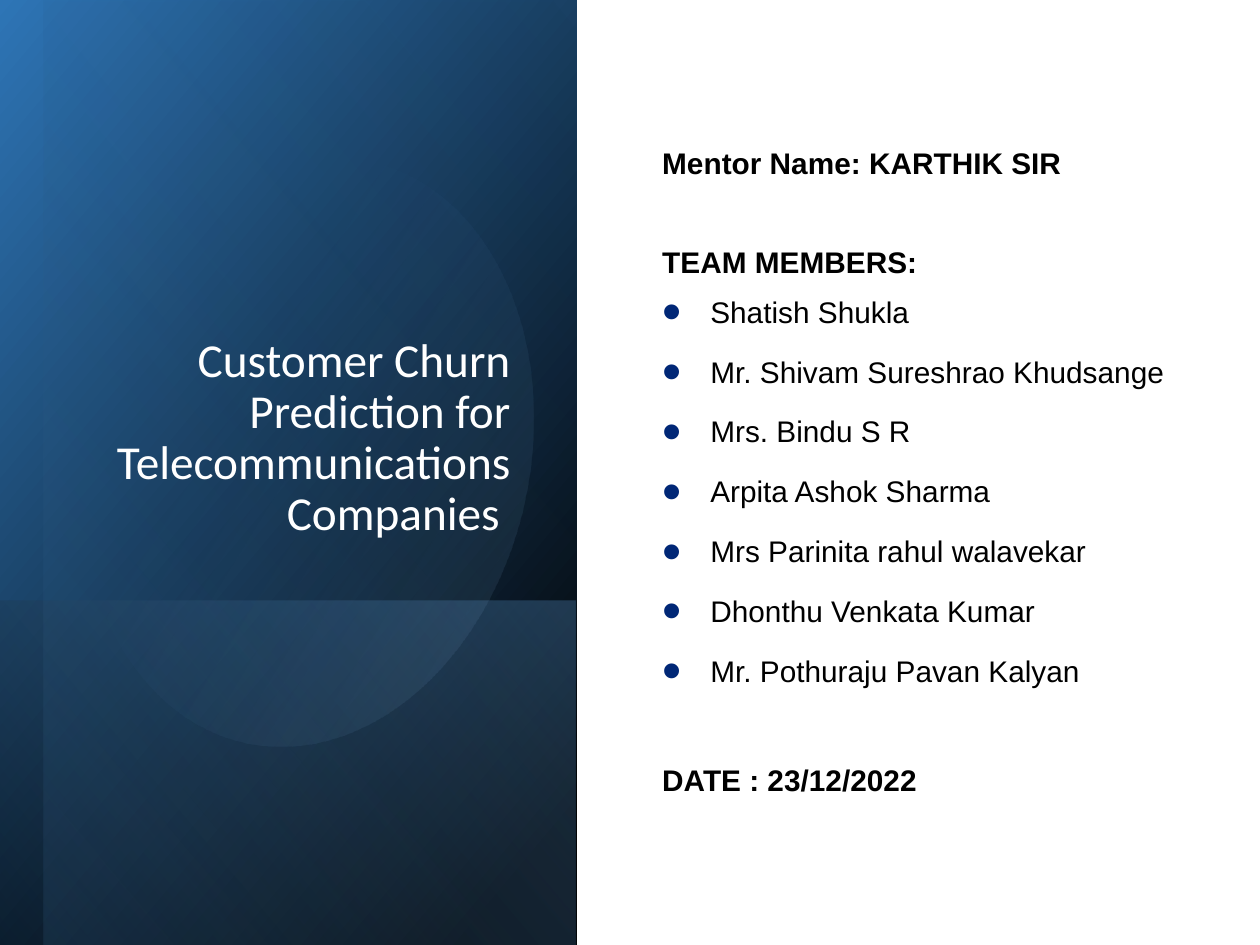
from pptx import Presentation
from pptx import util as u
from pptx.dml.color import RGBColor
from pptx.enum import shapes, text
from pptx.oxml import parse_xml
from pptx.oxml import ns

BLACK = RGBColor(0x00, 0x00, 0x00)
WHITE = RGBColor(0xFF, 0xFF, 0xFF)
NAVY = RGBColor(0x00, 0x27, 0x76)
BLUE = RGBColor(0x2E, 0x75, 0xB6)
SKY = RGBColor(0x5B, 0x9B, 0xD5)
PALE = RGBColor(0x9D, 0xC3, 0xE6)

RECT = shapes.MSO_SHAPE.RECTANGLE
OVAL = shapes.MSO_SHAPE.OVAL
GAP = 10
BREAK = 38.3

TEAM = [
    "Shatish Shukla",
    "Mr. Shivam Sureshrao Khudsange",
    "Mrs. Bindu S R",
    "Arpita Ashok Sharma",
    "Mrs Parinita rahul walavekar",
    "Dhonthu Venkata Kumar",
    "Mr. Pothuraju Pavan Kalyan",
]


class Deck:
    def __init__(self):
        self.file = Presentation()
        self.file.slide_width = u.Cm(25.4)
        self.file.slide_height = u.Cm(19.05)
        self.slide = self.file.slides.add_slide(self.file.slide_layouts[6])

    def panel(self, kind, box, stops, angle, turn=90, flip=True):
        shape = self.slide.shapes.add_shape(kind, *map(u.Cm, box))
        shape.rotation = turn
        shape.shadow.inherit = False
        shape.line.fill.background()
        shape.fill.background()
        props = shape._element.spPr
        if flip:
            props.find(ns.qn("a:xfrm")).set("flipH", "1")
        marks = "".join(
            f'<a:gs pos="{pos * 1000}"><a:srgbClr val="{color}">'
            f'<a:alpha val="{alpha * 1000}"/></a:srgbClr></a:gs>'
            for pos, color, alpha in stops
        )
        fill = parse_xml(
            f'<a:gradFill {ns.nsdecls("a")} rotWithShape="1"><a:gsLst>{marks}</a:gsLst>'
            f'<a:lin ang="{angle * 60000}" scaled="0"/></a:gradFill>'
        )
        props.replace(props.find(ns.qn("a:noFill")), fill)

    def frame(self, box, anchor):
        frame = self.slide.shapes.add_textbox(*map(u.Cm, box)).text_frame
        frame.word_wrap = True
        frame.vertical_anchor = anchor
        return frame

    def line(self, frame, words, size, font="Arial", color=BLACK, bold=False,
             before=0, after=0, left=0, hang=0, dot=False, align=text.PP_ALIGN.LEFT):
        first = frame.paragraphs[0]
        para = frame.add_paragraph() if first.runs else first
        props = para._p.get_or_add_pPr()
        props.set("marL", str(u.Cm(left)))
        props.set("indent", str(u.Cm(-hang)))
        if dot:
            for item in (
                f'<a:buClr {ns.nsdecls("a")}><a:srgbClr val="{NAVY}"/></a:buClr>',
                f'<a:buSzPct {ns.nsdecls("a")} val="184000"/>',
                f'<a:buFont {ns.nsdecls("a")} typeface="Arial"/>',
                f'<a:buChar {ns.nsdecls("a")} char="•"/>',
            ):
                props.append(parse_xml(item))
        para.alignment = align
        para.line_spacing = 0.9
        para.space_before = u.Pt(before)
        para.space_after = u.Pt(after)
        run = para.add_run()
        run.text = words
        run.font.name = font
        run.font.size = u.Pt(size)
        run.font.bold = bold
        run.font.color.rgb = color


def main():
    deck = Deck()
    deck.panel(RECT, (-3.71, 3.71, 19.05, 11.63), [(8, BLACK, 100), (100, BLUE, 100)], 50)
    deck.panel(RECT, (2.31, 9.78, 6.96, 11.61), [(2, SKY, 29), (100, BLACK, 30)], 130)
    deck.panel(RECT, (-3.28, 4.17, 19.05, 10.74), [(0, BLACK, 0), (99, SKY, 11)], 130)
    deck.panel(OVAL, (0.2, 4.62, 11.99, 8.99), [(39, SKY, 0), (100, PALE, 15)], 290,
               turn=101.6, flip=False)

    title = deck.frame((1.73, 1.63, 8.81, 9.4), text.MSO_ANCHOR.BOTTOM)
    deck.line(title, "Customer Churn Prediction for Telecommunications Companies ", 27,
              font="Calibri", color=WHITE, align=text.PP_ALIGN.RIGHT)

    body = deck.frame((12.8, 1.52, 11.61, 16.05), text.MSO_ANCHOR.MIDDLE)
    deck.line(body, "Mentor Name: KARTHIK SIR", 17, bold=True, left=0.3)
    deck.line(body, "TEAM MEMBERS:", 17, bold=True, before=BREAK, left=0.3)
    for name in TEAM:
        deck.line(body, name, 17, before=GAP, after=5.8, left=1.27, hang=0.97, dot=True)
    deck.line(body, "DATE : 23/12/2022", 17, bold=True, before=BREAK, left=1.27, hang=0.97)

    deck.file.save("out.pptx")


if __name__ == "__main__":
    main()
